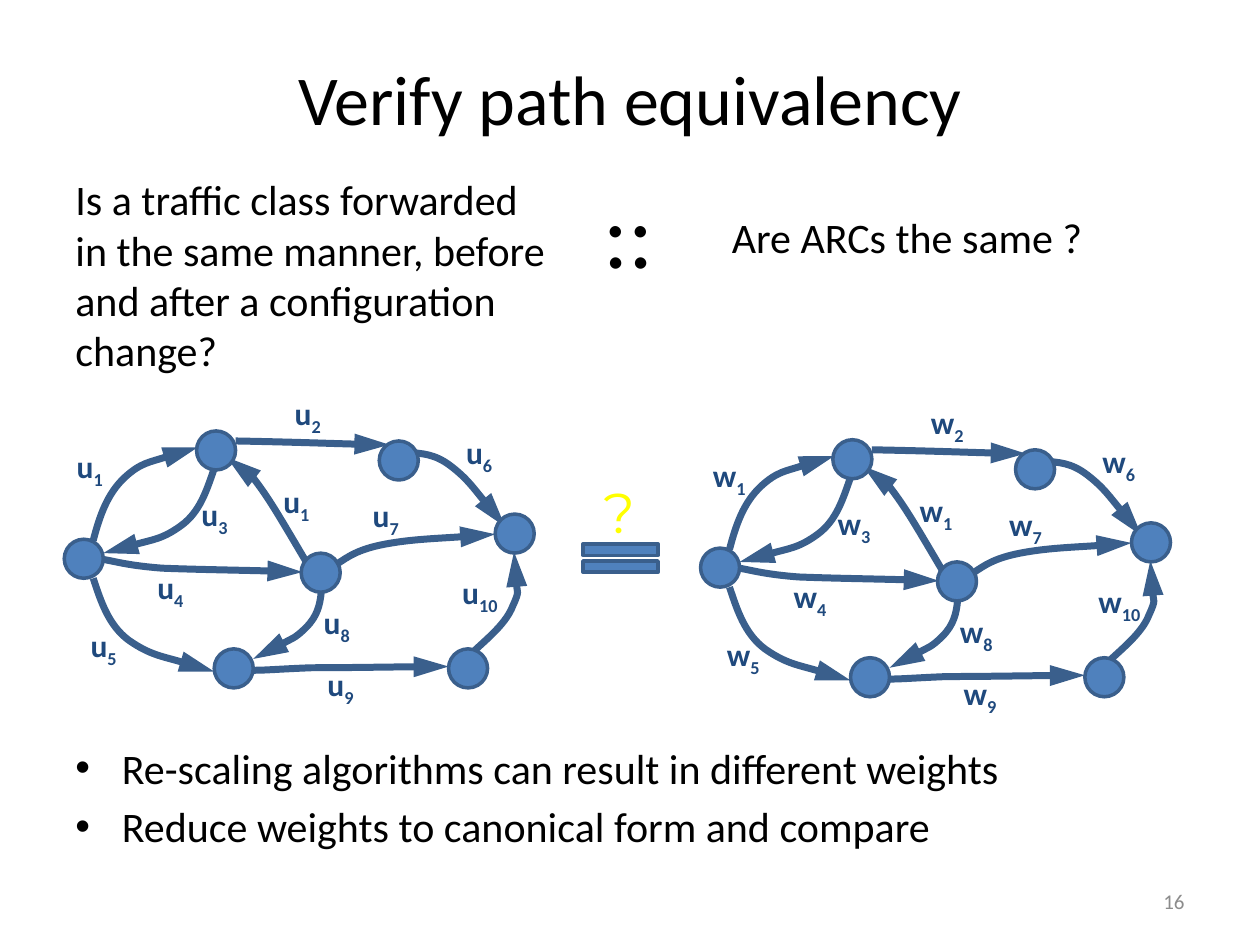
from dataclasses import dataclass

from lxml.etree import SubElement
from pptx import Presentation
from pptx.dml.color import RGBColor
from pptx.enum.shapes import MSO_SHAPE as Shape
from pptx.enum.text import MSO_ANCHOR as Anchor, MSO_AUTO_SIZE as AutoSize, PP_ALIGN as Align
from pptx.oxml.ns import qn
from pptx.util import Emu, Pt

PX = 9144  # EMU per px, 100 px to the inch


@dataclass(frozen=True)
class Theme:
    font: str = "Calibri"
    accent_font: str = "Montserrat"
    text: str = "000000"
    muted: str = "8C8C8C"
    label: str = "1F497D"
    question: str = "FFFF00"
    fill: str = "4F81BD"
    line: str = "3A5F8C"
    title_size: int = 40
    body_size: int = 24
    label_size: int = 18
    number_size: int = 12
    question_size: int = 32
    analogy_size: int = 54
    outline: int = 2
    edge: int = 4


THEME = Theme()

# Content: (left, top, width, height) in px
TITLE = "Verify path equivalency"
QUESTION = ("Is a traffic class forwarded in the same manner, "
            "before and after a configuration change?")
ANSWER = "Are ARCs the same ?"
BULLETS = ["Re-scaling algorithms can result in different weights",
           "Reduce weights to canonical form and compare"]

# Graphs: weight letter, offset, width of a one-digit and a two-digit label
GRAPHS = [("u", (0, 0), (42, 51)), ("w", (505, 7), (48, 56))]
NODE_SIZE = 31
NODES = [(356, 515), (156, 342), (170, 515), (393, 408), (239, 439), (301, 350), (51, 428)]

# Edges: start point, then three points for each Bézier segment
EDGES_BEHIND = [
    [(249, 456), (220, 407), (192, 358), (180, 363)],
    [(324, 359), (335, 360), (345, 360), (358, 370), (371, 380), (392, 407), (401, 418)],
]
EDGES_IN_FRONT = [
    [(74, 429), (79, 410), (85, 392), (99, 379), (112, 367), (144, 359), (157, 355)],
    [(74, 459), (80, 477), (86, 496), (102, 508), (119, 520), (155, 528), (170, 533)],
    [(187, 350), (237, 351), (288, 353), (309, 353)],
    [(82, 444), (93, 446), (103, 449), (129, 451), (155, 452), (215, 453), (240, 454)],
    [(170, 372), (164, 389), (159, 406), (144, 417), (129, 428), (96, 435), (82, 439)],
    [(201, 532), (211, 532), (222, 531), (247, 530), (273, 530), (332, 529), (356, 529)],
    [(377, 516), (389, 505), (402, 494), (407, 481), (413, 468), (409, 447), (408, 438)],
    [(267, 448), (276, 442), (284, 436), (305, 432), (326, 428), (373, 426), (393, 424)],
    [(255, 470), (254, 480), (252, 489), (243, 498), (234, 507), (211, 518), (201, 523)],
]
LABELS = [("2", 224, 308), ("1", 51, 350), ("3", 150, 388), ("1", 215, 378), ("5", 62, 492),
          ("4", 115, 446), ("8", 247, 474), ("7", 286, 389), ("6", 360, 339), ("9", 250, 523),
          ("10", 357, 450)]


def color(value):
    return RGBColor.from_string(value)


def add_text(slide, box, paragraphs, *, size=THEME.body_size, ink=THEME.text, font=THEME.font,
             bold=False, align=Align.LEFT, anchor=Anchor.TOP, wrap=True, bullet=False,
             subscript="", space_before=0):
    """Add a text box holding a list of paragraphs, each with an optional subscript."""
    shape = slide.shapes.add_textbox(*(Emu(value * PX) for value in box))
    frame = shape.text_frame
    frame.word_wrap = wrap
    frame.auto_size = AutoSize.NONE if wrap else AutoSize.SHAPE_TO_FIT_TEXT
    frame.vertical_anchor = anchor
    for index, text in enumerate(paragraphs):
        paragraph = frame.paragraphs[0] if index == 0 else frame.add_paragraph()
        paragraph.alignment = align
        if index:
            paragraph.space_before = Pt(space_before)
        if bullet:
            properties = paragraph._p.get_or_add_pPr()
            properties.set("marL", str(37 * PX))
            properties.set("indent", str(-37 * PX))
            SubElement(properties, qn("a:buFont"), typeface="Arial")
            SubElement(properties, qn("a:buChar"), char="•")
        for part in filter(None, (text, subscript)):
            run = paragraph.add_run()
            run.text = part
            run.font.size = Pt(size)
            run.font.name = font
            run.font.bold = bold
            run.font.color.rgb = color(ink)
        if subscript:
            run.font._element.set("baseline", "-25000")
    return shape


def add_filled(slide, kind, box):
    shape = slide.shapes.add_shape(kind, *(Emu(value * PX) for value in box))
    shape.shadow.inherit = False
    shape.fill.solid()
    shape.fill.fore_color.rgb = color(THEME.fill)
    shape.line.color.rgb = color(THEME.line)
    shape.line.width = Pt(THEME.outline)


def add_edge(slide, points, offset):
    """Draw a curved arrow through Bézier points."""
    dx, dy = offset
    start, *others = [(x + dx, y + dy) for x, y in points]
    builder = slide.shapes.build_freeform(*start, scale=PX)
    builder.add_line_segments(others, close=False)
    shape = builder.convert_to_shape()
    shape.shadow.inherit = False
    shape.fill.background()
    shape.line.color.rgb = color(THEME.line)
    shape.line.width = Pt(THEME.edge)
    SubElement(shape.line._get_or_add_ln(), qn("a:tailEnd"), type="triangle", w="med", len="lg")

    # Turn each three line segments into one cubic curve
    outline = shape._element.find(".//" + qn("a:path"))
    segments = outline.findall(qn("a:lnTo"))
    for first in range(0, len(segments), 3):
        curve = SubElement(outline, qn("a:cubicBezTo"))
        for segment in segments[first:first + 3]:
            curve.append(segment[0])
            outline.remove(segment)


def add_graph(slide, letter, offset, label_widths):
    dx, dy = offset
    for points in EDGES_BEHIND:
        add_edge(slide, points, offset)
    for x, y in NODES:
        add_filled(slide, Shape.OVAL, (x + dx, y + dy, NODE_SIZE, NODE_SIZE))
    for points in EDGES_IN_FRONT:
        add_edge(slide, points, offset)
    for number, x, y in LABELS:
        width = label_widths[len(number) - 1]
        add_text(slide, (x + dx, y + dy, width, 40), [letter], subscript=number, bold=True,
                 size=THEME.label_size, ink=THEME.label, wrap=False)


def main():
    presentation = Presentation()
    presentation.slide_width = Emu(1000 * PX)
    presentation.slide_height = Emu(750 * PX)
    slide = presentation.slides.add_slide(presentation.slide_layouts[6])

    # Title, conclusions and slide number
    add_text(slide, (50, 30, 900, 95), [TITLE], size=THEME.title_size,
             align=Align.CENTER, anchor=Anchor.MIDDLE)
    add_text(slide, (50, 584, 900, 124), BULLETS, bullet=True, space_before=4.8)
    add_text(slide, (717, 695, 233, 40), ["16"], size=THEME.number_size, ink=THEME.muted,
             align=Align.RIGHT, anchor=Anchor.MIDDLE)

    # Comparison of the two graphs
    add_text(slide, (469, 374, 48, 64), ["?"], size=THEME.question_size, ink=THEME.question,
             font=THEME.accent_font, wrap=False)
    add_filled(slide, Shape.MATH_EQUAL, (452, 424, 81, 38))
    for letter, offset, label_widths in GRAPHS:
        add_graph(slide, letter, offset, label_widths)

    # Question and its restatement
    add_text(slide, (50, 133, 402, 172), [QUESTION])
    add_text(slide, (571, 163, 418, 50), [ANSWER])
    add_text(slide, (469, 133, 61, 101), ["::"], size=THEME.analogy_size, wrap=False)

    presentation.save("out.pptx")


if __name__ == "__main__":
    main()
